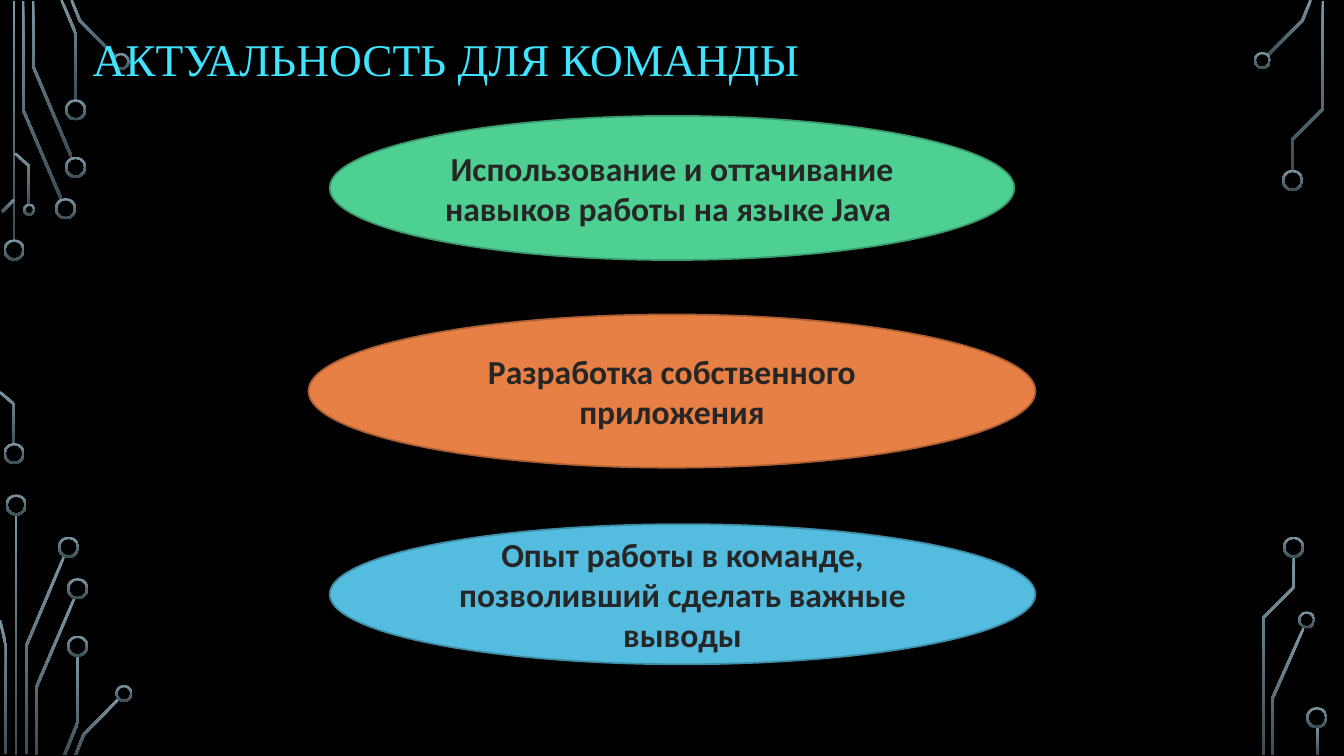
from math import hypot

from pptx import Presentation
from pptx.dml.color import RGBColor
from pptx.enum.shapes import MSO_SHAPE as Shape
from pptx.enum.text import MSO_ANCHOR as Anchor, PP_ALIGN as Align
from pptx.util import Inches, Pt

# Content
TITLE = "АКТУАЛЬНОСТЬ ДЛЯ КОМАНДЫ"
# text, fill, outline, (left, top, width, height)
BENEFITS = [
    ("Использование и оттачивание навыков работы на языке Java ",
     "4FD093", "3A9A6D", (3.27, 1.15, 6.79, 1.43)),
    ("Разработка собственного приложения",
     "E78045", "AB5F33", (3.06, 3.12, 7.21, 1.52)),
    ("Опыт работы в команде, позволивший сделать важные выводы",
     "54BCDF", "3E8BA5", (3.27, 5.2, 7, 1.39)),
]

# Circuit decoration: centre lines of the traces, in inches
TRACES = [
    # top left
    [(0.14, 0.01), (0.14, 2.4)],
    [(0.61, 1.98), (0.23, 1.09), (0.23, 0.01)],
    [(0.71, 1.56), (0.33, 0.66), (0.33, 0.01)],
    [(0.75, 1), (0.75, 0.33), (0.61, 0)],
    [(1.15, 0.57), (0.79, 0.2), (0.71, 0)],
    [(0.02, 2.1), (0.14, 1.98)],
    [(0.14, 4.41), (0.14, 4.01), (0, 3.89)],
    [(0.29, 2.03), (0.29, 1.65), (0.15, 1.52)],
    # bottom left
    [(0.16, 5.1), (0.16, 7.49)],
    [(0.26, 7.48), (0.26, 6.41), (0.64, 5.51)],
    [(0.06, 7.48), (0.06, 6.41), (0, 6.15)],
    [(0.36, 7.49), (0.36, 6.82), (0.74, 5.93)],
    [(0.64, 7.49), (0.77, 7.17), (0.77, 6.5)],
    [(0.75, 7.49), (0.83, 7.29), (1.18, 6.93)],
    # top right
    [(12.57, 0.55), (12.92, 0.2), (13, 0)],
    [(12.82, 1.69), (12.82, 1.38), (13.12, 1.08), (13.12, 0.01)],
    # bottom right
    [(12.62, 7.49), (12.62, 6.93), (12.93, 6.23)],
    [(12.53, 7.49), (12.53, 6.13), (12.83, 5.83), (12.83, 5.52)],
    [(13.07, 7.21), (13.07, 7.49)],
]
# Pad diameter: centres
PADS = {
    0.21: [(0.14, 2.48), (0.14, 4.5), (0.65, 2.07), (0.75, 1.66), (0.75, 1.09),
           (0.16, 5.01), (0.68, 5.43), (0.77, 5.84), (0.77, 6.41),
           (12.82, 1.79), (12.83, 5.43), (13.06, 7.12)],
    0.17: [(1.2, 0.61), (1.23, 6.88), (12.52, 0.6), (12.96, 6.15)],
    0.12: [(0.29, 2.08)],
}
TRACE_WIDTH, RING_WIDTH = 0.025, 0.02


def color(hex_string):
    return RGBColor.from_string(hex_string)


def style_circuit(shape):
    shape.shadow.inherit = False
    shape.line.fill.background()
    shape.fill.gradient()
    shape.fill.gradient_angle = 270
    for stop, shade in zip(shape.fill.gradient_stops, ("7C96A3", "3B4C54")):
        stop.color.rgb = color(shade)


def offset_side(points, distance):
    """Shift a polyline sideways, with mitred corners."""
    normals = []
    for (x1, y1), (x2, y2) in zip(points, points[1:]):
        length = hypot(x2 - x1, y2 - y1)
        normals.append(((y1 - y2) / length, (x2 - x1) / length))
    side = []
    for (x, y), (ax, ay), (bx, by) in zip(
            points, normals[:1] + normals, normals + normals[-1:]):
        reach = distance / (1 + ax * bx + ay * by)
        side.append((Inches(x + (ax + bx) * reach), Inches(y + (ay + by) * reach)))
    return side


def add_trace(slide, points):
    half = TRACE_WIDTH / 2
    outline = offset_side(points, half) + offset_side(points, -half)[::-1]
    builder = slide.shapes.build_freeform(*outline[0])
    builder.add_line_segments(outline[1:], close=True)
    style_circuit(builder.convert_to_shape())


def add_pad(slide, center, diameter):
    left, top = (Inches(value - diameter / 2) for value in center)
    ring = slide.shapes.add_shape(
        Shape.DONUT, left, top, Inches(diameter), Inches(diameter))
    ring.adjustments[0] = RING_WIDTH / diameter
    style_circuit(ring)


def write(shape, text, font_name, size, hex_string, bold=False):
    frame = shape.text_frame
    frame.word_wrap = True
    frame.vertical_anchor = Anchor.MIDDLE
    frame.text = text
    paragraph = frame.paragraphs[0]
    font = paragraph.runs[0].font
    font.name, font.size, font.bold = font_name, Pt(size), bold
    font.color.rgb = color(hex_string)
    return paragraph


def main():
    presentation = Presentation()
    presentation.slide_width, presentation.slide_height = Inches(13.33), Inches(7.5)
    slide = presentation.slides.add_slide(presentation.slide_layouts[6])
    slide.background.fill.solid()
    slide.background.fill.fore_color.rgb = color("000000")

    # Circuit decoration
    for points in TRACES:
        add_trace(slide, points)
    for diameter, centers in PADS.items():
        for center in centers:
            add_pad(slide, center, diameter)

    # Title
    title = slide.shapes.add_textbox(*map(Inches, (0.82, 0.35, 8.4, 0.55)))
    paragraph = write(title, TITLE, "Times New Roman", 32.4, "3FE4FF")
    paragraph.line_spacing = 0.8

    # Benefit ellipses
    for text, fill, outline, box in BENEFITS:
        ellipse = slide.shapes.add_shape(Shape.OVAL, *map(Inches, box))
        ellipse.shadow.inherit = False
        ellipse.fill.solid()
        ellipse.fill.fore_color.rgb = color(fill)
        ellipse.line.color.rgb = color(outline)
        ellipse.line.width = Pt(1.25)
        paragraph = write(ellipse, text, "Calibri", 24, "262626", bold=True)
        paragraph.alignment = Align.CENTER

    presentation.save("out.pptx")


if __name__ == "__main__":
    main()
